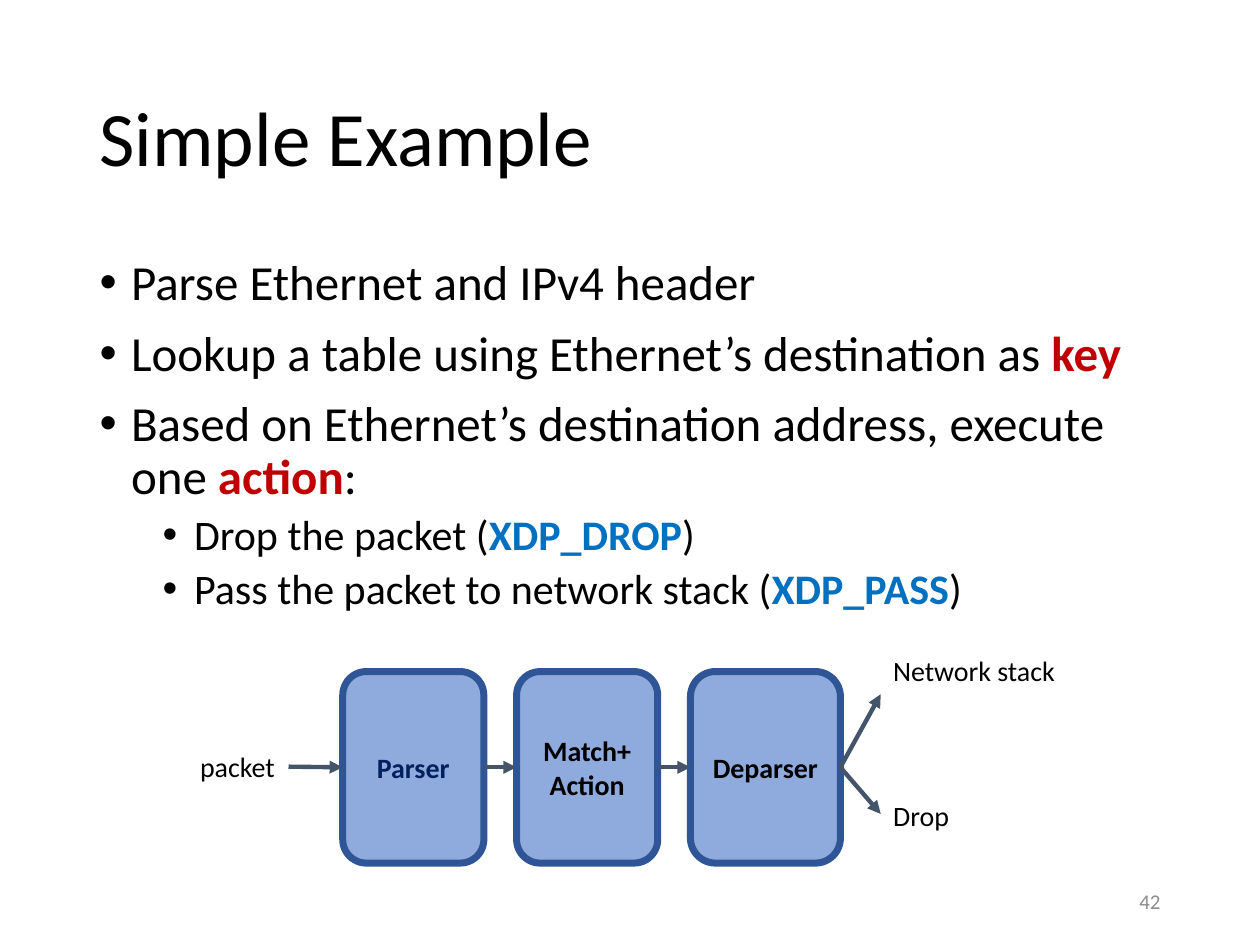
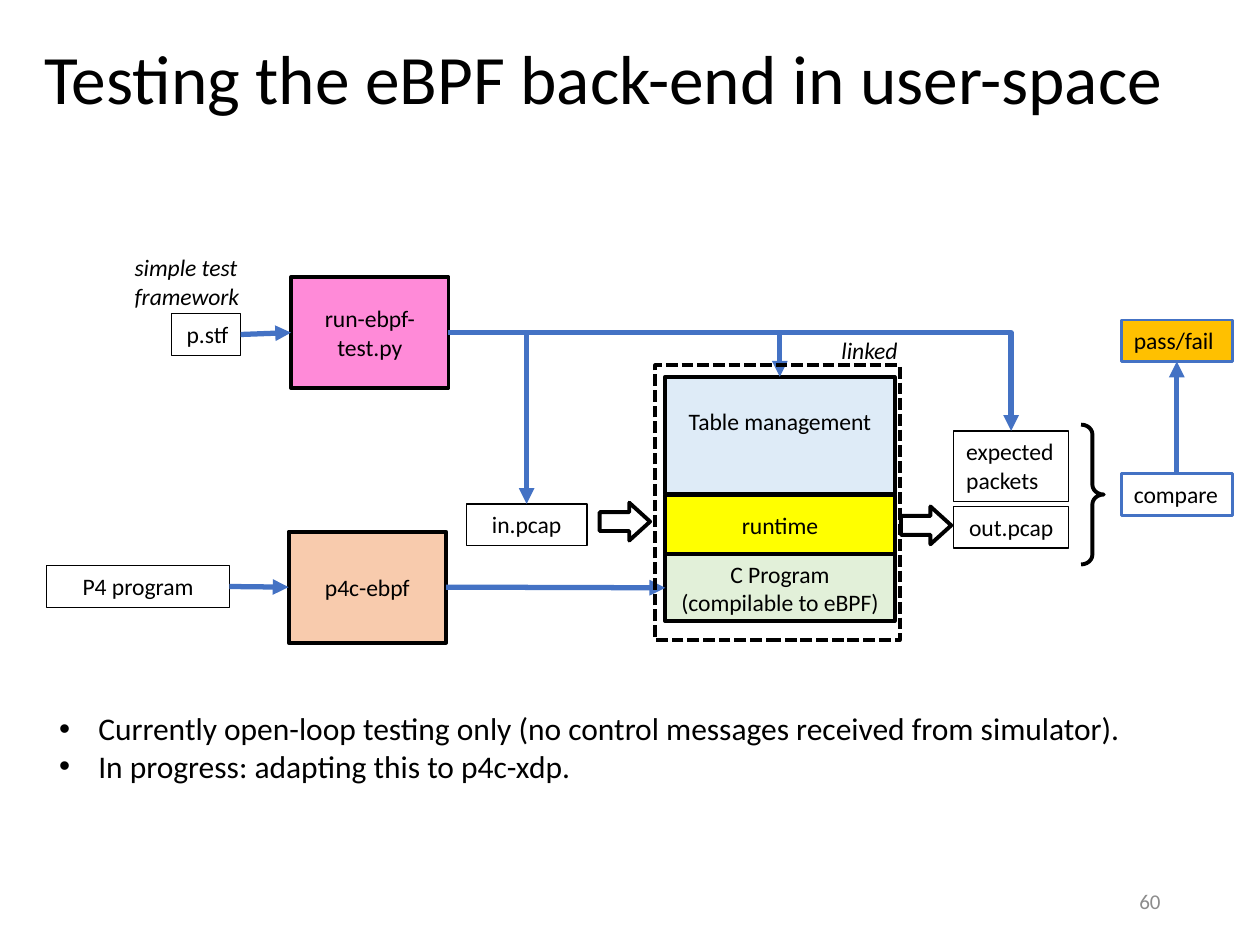
from dataclasses import dataclass

from lxml.etree import SubElement
from pptx import Presentation
from pptx.dml.color import RGBColor
from pptx.enum.dml import MSO_LINE_DASH_STYLE as Dash
from pptx.enum.shapes import MSO_CONNECTOR as Connector
from pptx.enum.shapes import MSO_SHAPE as Preset
from pptx.enum.text import MSO_ANCHOR as Anchor
from pptx.enum.text import MSO_AUTO_SIZE as AutoSize
from pptx.enum.text import PP_ALIGN as Align
from pptx.oxml.ns import qn
from pptx.util import Inches, Pt

FONT = "Calibri"
COLORS = {
    "black": "000000", "white": "FFFFFF", "gray": "8C8C8C",
    "red": "C00000", "sky": "0070C0", "navy": "002060",
    "stage": "8FAADC", "stage edge": "2F5597", "slate": "44546A",
    "blue": "4472C4", "peach": "F8CBAD", "green": "E2F0D9",
    "pale blue": "DEEBF7", "pink": "FF8AD8", "yellow": "FFFF00",
    "gold": "FFC000",
}
TOP, LEFT, BOTTOM, RIGHT = range(4)


@dataclass
class Box:
    left: float
    top: float
    width: float
    height: float

    def lengths(self) -> tuple:
        return tuple(Inches(v) for v in (self.left, self.top, self.width, self.height))


@dataclass
class TextStyle:
    size: float = 13.5
    color: str = "black"
    bold: bool = False
    italic: bool = False
    align: Align = Align.CENTER
    anchor: Anchor = Anchor.MIDDLE
    wrap: bool = True


@dataclass
class Node:
    text: str
    box: Box
    fill: str = ""
    line: str = "black"
    line_width: float = 0.75
    style: TextStyle = None
    preset: Preset = Preset.RECTANGLE
    adjustments: tuple = ()
    bottom_margin: float = 0.05


@dataclass
class Bullet:
    pieces: list
    size: float = 28
    level: int = 0
    left: float = 0.25
    hanging: float = 0.25
    before: float = 10
    spacing: float = 0.9


def color(name: str) -> RGBColor:
    return RGBColor.from_string(COLORS[name])


def format_run(run, size: float, color_name: str, bold=False, italic=False) -> None:
    font = run.font
    font.name, font.size, font.bold, font.italic = FONT, Pt(size), bold, italic
    font.color.rgb = color(color_name)


def write(shape, text: str, style: TextStyle) -> None:
    frame = shape.text_frame
    frame.text = text
    frame.word_wrap = style.wrap
    frame.auto_size = AutoSize.NONE if style.wrap else AutoSize.SHAPE_TO_FIT_TEXT
    frame.vertical_anchor = style.anchor
    for paragraph in frame.paragraphs:
        paragraph.alignment = style.align
        for run in paragraph.runs:
            format_run(run, style.size, style.color, style.bold, style.italic)


def place(shape, box: Box) -> None:
    shape.left, shape.top, shape.width, shape.height = box.lengths()


def add_label(slide, text: str, box: Box, style: TextStyle):
    label = slide.shapes.add_textbox(*box.lengths())
    write(label, text, style)
    return label


def add_node(slide, node: Node):
    shape = slide.shapes.add_shape(node.preset, *node.box.lengths())
    shape.shadow.inherit = False
    for index, value in enumerate(node.adjustments):
        shape.adjustments[index] = value
    if node.fill:
        shape.fill.solid()
        shape.fill.fore_color.rgb = color(node.fill)
    else:
        shape.fill.background()
    shape.line.color.rgb = color(node.line)
    shape.line.width = Pt(node.line_width)
    if node.text:
        write(shape, node.text, node.style or TextStyle())
        shape.text_frame.margin_bottom = Inches(node.bottom_margin)
    return shape


def add_arrow(slide, kind: Connector, ends: tuple, color_name: str, width: float):
    arrow = slide.shapes.add_connector(kind, *ends)
    arrow.line.color.rgb = color(color_name)
    arrow.line.width = Pt(width)
    properties = arrow._element.spPr
    SubElement(properties.find(qn("a:ln")), qn("a:tailEnd"), type="triangle")
    SubElement(properties, qn("a:effectLst"))
    return arrow


def link(slide, start, start_side: int, end, end_side: int, color_name: str, width: float) -> None:
    arrow = add_arrow(slide, Connector.STRAIGHT, (0, 0, 0, 0), color_name, width)
    arrow.begin_connect(start, start_side)
    arrow.end_connect(end, end_side)


def branch_down(slide, start, end, color_name: str, width: float) -> None:
    ends = (start.left + start.width, start.top + start.height // 2,
            end.left + end.width // 2, end.top)
    arrow = add_arrow(slide, Connector.ELBOW, ends, color_name, width)
    arrow._element.spPr.find(qn("a:prstGeom")).set("prst", "bentConnector2")


def write_bullets(body, bullets: list) -> None:
    frame = body.text_frame
    frame.word_wrap = True
    frame.auto_size = AutoSize.NONE
    frame.vertical_anchor = Anchor.TOP
    for index, bullet in enumerate(bullets):
        paragraph = frame.paragraphs[0] if index == 0 else frame.add_paragraph()
        paragraph.level = bullet.level
        paragraph.line_spacing = bullet.spacing
        paragraph.space_before = Pt(bullet.before)
        paragraph.space_after = Pt(0)
        properties = paragraph._p.get_or_add_pPr()
        properties.set("marL", str(Inches(bullet.left)))
        properties.set("indent", str(-Inches(bullet.hanging)))
        SubElement(properties, qn("a:buFont"), typeface="Arial")
        SubElement(properties, qn("a:buChar"), char="•")
        for text, color_name in bullet.pieces:
            run = paragraph.add_run()
            run.text = text
            format_run(run, bullet.size, color_name, bold=color_name != "black")


def start_slide(deck, title: str, title_box: Box, title_size: float,
                body_box: Box, bullets: list, number: int):
    slide = deck.slides.add_slide(deck.slide_layouts[1])
    heading, body = slide.shapes.title, slide.placeholders[1]
    place(heading, title_box)
    write(heading, title, TextStyle(title_size, align=Align.LEFT))
    heading.text_frame.paragraphs[0].line_spacing = 0.9
    place(body, body_box)
    write_bullets(body, bullets)
    add_label(slide, str(number), Box(7.06, 6.95, 2.25, 0.4),
              TextStyle(12, "gray", align=Align.RIGHT))
    return slide


def build_simple_example(deck) -> None:
    bullets = [
        Bullet([("Parse Ethernet and IPv4 header", "black")]),
        Bullet([("Lookup a table using Ethernet’s destination as ", "black"), ("key", "red")]),
        Bullet([("Based on Ethernet’s destination address, execute one ", "black"),
                ("action", "red"), (":", "black")]),
    ]
    for outcome, code in (("Drop the packet (", "XDP_DROP"),
                          ("Pass the packet to network stack (", "XDP_PASS")):
        bullets.append(Bullet([(outcome, "black"), (code, "sky"), (")", "black")],
                              size=24, level=1, left=0.75, before=5))
    slide = start_slide(deck, "Simple Example", Box(0.69, 0.4, 8.62, 1.45), 44,
                        Box(0.69, 2, 8.62, 3.1), bullets, 42)

    stages = []
    for index, (name, width, name_color) in enumerate((
            ("Parser", 1.12, "navy"), ("Match+\nAction", 1.12, "black"),
            ("Deparser", 1.19, "black"))):
        stages.append(add_node(slide, Node(
            name, Box(2.72 + 1.38 * index, 5.33, width, 1.52), "stage", "stage edge", 4,
            TextStyle(16, name_color, bold=True), Preset.ROUNDED_RECTANGLE)))

    plain = TextStyle(16, align=Align.LEFT, anchor=Anchor.TOP, wrap=False)
    packet = add_label(slide, "packet", Box(1.49, 5.9, 0.8, 0.37), plain)
    add_label(slide, "Network stack", Box(6.99, 5.14, 1.5, 0.37), plain)
    add_label(slide, "Drop", Box(6.99, 6.29, 0.65, 0.37), plain)

    flow = [packet, *stages]
    for start, end in zip(flow, flow[1:]):
        link(slide, start, RIGHT, end, LEFT, "slate", 2.5)
    for outcome_y in (5.51, 6.46):
        exit_arrow = add_arrow(slide, Connector.STRAIGHT,
                               (0, 0, Inches(6.99), Inches(outcome_y)), "slate", 2.5)
        exit_arrow.begin_connect(stages[-1], RIGHT)


def build_user_space_testing(deck) -> None:
    notes = ("Currently open-loop testing only (no control messages received from simulator).",
             "In progress: adapting this to p4c-xdp.")
    bullets = [Bullet([(note, "black")], 18, 0, 0.31, 0.31, 0, 1) for note in notes]
    slide = start_slide(deck, "Testing the eBPF back-end in user-space",
                        Box(0.25, 0.3, 9.61, 0.7), 39.6,
                        Box(0.37, 5.58, 9, 0.71), bullets, 60)

    def file_box(text: str, box: Box, align=Align.CENTER, **look):
        return add_node(slide, Node(text, box, style=TextStyle(align=align, anchor=Anchor.TOP), **look))

    def block(text: str, box: Box, fill: str, **look):
        return add_node(slide, Node(text, box, fill, line_width=2.25, **look))

    compiler = block("p4c-ebpf", Box(2.29, 4.22, 1.25, 0.88), "peach")
    runner = block("run-ebpf-test.py", Box(2.31, 2.2, 1.25, 0.88), "pink")
    program = block("C Program\n(compilable to eBPF)", Box(5.28, 4.4, 1.82, 0.53), "green")
    tables = block("Table management", Box(5.28, 2.99, 1.82, 0.93), "pale blue",
                   bottom_margin=0.28)
    block("runtime", Box(5.28, 3.93, 1.82, 0.47), "yellow")

    test_file = file_box("p.stf", Box(1.36, 2.49, 0.55, 0.33), Align.RIGHT)
    source = file_box("P4 program", Box(0.37, 4.49, 1.45, 0.33))
    packets_in = file_box("in.pcap", Box(3.7, 4, 0.96, 0.33))
    expected = file_box("expected\npackets", Box(7.57, 3.42, 0.91, 0.56), Align.LEFT)
    file_box("out.pcap", Box(7.57, 4.02, 0.91, 0.33))
    compare = file_box("compare", Box(8.9, 3.76, 0.88, 0.33), Align.LEFT,
                       line="blue", line_width=1.5)
    verdict = file_box("pass/fail", Box(8.9, 2.54, 0.88, 0.33), Align.LEFT,
                       fill="gold", line="blue", line_width=1.5)

    for start, start_side, end, end_side in (
            (test_file, RIGHT, runner, LEFT), (source, RIGHT, compiler, LEFT),
            (compiler, RIGHT, program, LEFT), (compare, TOP, verdict, BOTTOM)):
        link(slide, start, start_side, end, end_side, "blue", 3)
    for target in (tables, packets_in, expected):
        branch_down(slide, runner, target, "blue", 3)

    for left, top in ((4.76, 3.99), (7.15, 4.02)):
        block("", Box(left, top, 0.4, 0.3), "white",
              preset=Preset.RIGHT_ARROW, adjustments=(0.5, 0.55))
    block("", Box(8.58, 3.37, 0.18, 1.11), "",
          preset=Preset.RIGHT_BRACE, adjustments=(0.43, 0.5))
    linked_frame = block("", Box(5.2, 2.9, 1.94, 2.18), "")
    linked_frame.line.dash_style = Dash.SQUARE_DOT

    remark = TextStyle(italic=True, align=Align.LEFT, anchor=Anchor.TOP, wrap=False)
    add_label(slide, "simple test\nframework", Box(0.97, 1.96, 1.04, 0.56), remark)
    add_label(slide, "linked", Box(6.58, 2.62, 0.66, 0.33), remark)


def main() -> None:
    deck = Presentation()
    deck.slide_width, deck.slide_height = Inches(10), Inches(7.5)
    build_simple_example(deck)
    build_user_space_testing(deck)
    deck.save("out.pptx")


if __name__ == "__main__":
    main()
